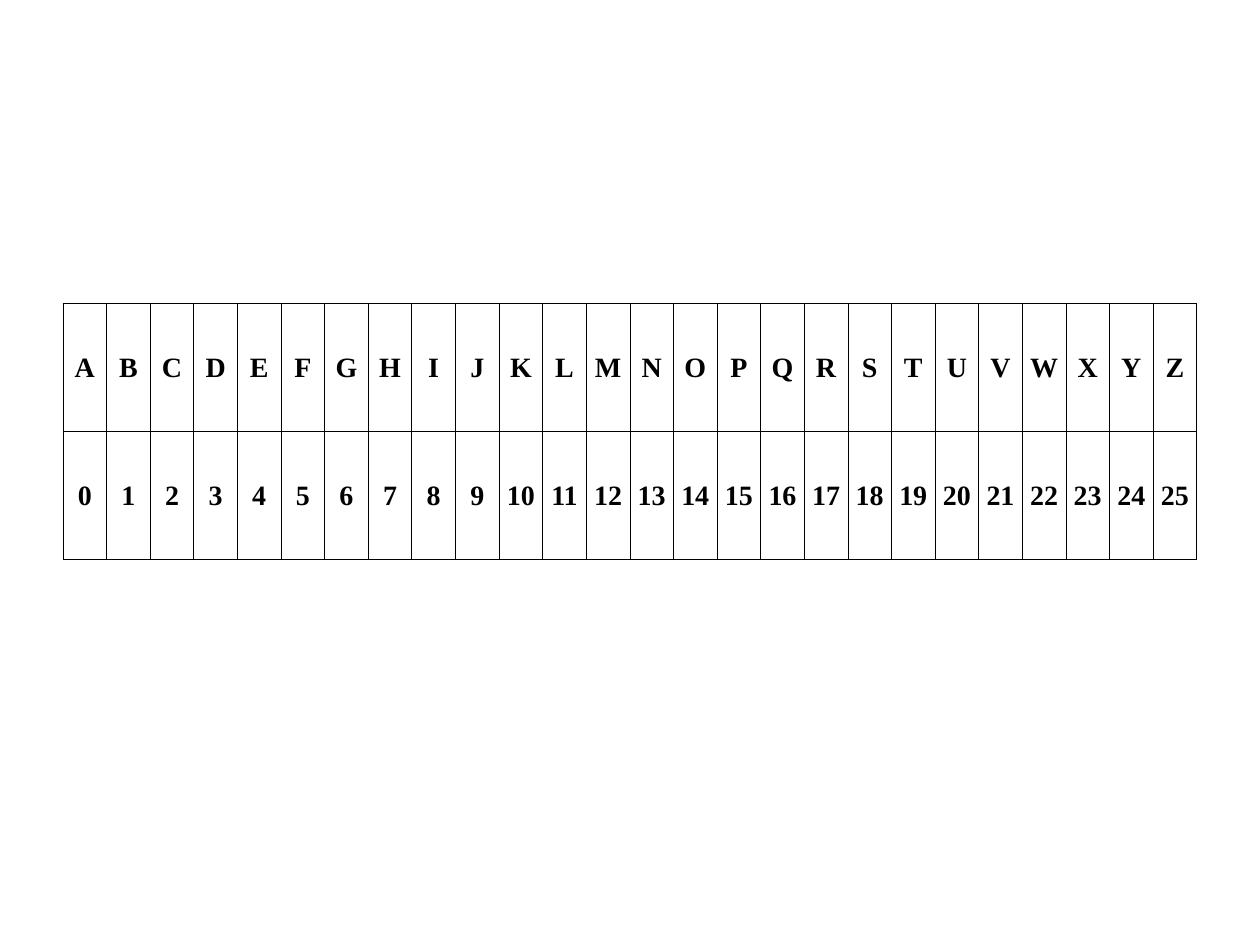
from dataclasses import dataclass

from lxml.etree import SubElement
from pptx import Presentation
from pptx.dml.color import RGBColor
from pptx.enum.text import MSO_VERTICAL_ANCHOR as Anchor, PP_PARAGRAPH_ALIGNMENT as Align
from pptx.oxml.ns import qn
from pptx.table import _Cell as Cell
from pptx.util import Cm, Length, Pt

COLOURS = {"ink": "000000", "paper": "FFFFFF"}
FONT_NAME = "Times New Roman"
BORDER_WIDTH = Pt(0.45)
LETTERS = "ABCDEFGHIJKLMNOPQRSTUVWXYZ"


@dataclass
class TableRow:
    labels: list[str]
    height: Length


def draw_borders(cell: Cell) -> None:
    properties = cell._tc.get_or_add_tcPr()
    for side in ("a:lnL", "a:lnR", "a:lnT", "a:lnB"):
        line = SubElement(properties, qn(side), w=str(BORDER_WIDTH))
        fill = SubElement(line, qn("a:solidFill"))
        SubElement(fill, qn("a:srgbClr"), val=COLOURS["ink"])


def fill_cell(cell: Cell, label: str) -> None:
    draw_borders(cell)
    cell.fill.background()
    cell.margin_left = cell.margin_right = Cm(0)
    cell.margin_top = cell.margin_bottom = Cm(0.13)
    cell.vertical_anchor = Anchor.MIDDLE
    cell.text = label
    para = cell.text_frame.paragraphs[0]
    para.alignment = Align.CENTER
    para.font.name = FONT_NAME
    para.font.size = Pt(16)
    para.font.bold = True
    para.font.color.rgb = RGBColor.from_string(COLOURS["ink"])


def main() -> None:
    deck = Presentation()
    deck.slide_width, deck.slide_height = Cm(25.4), Cm(19.05)
    page = deck.slides.add_slide(deck.slide_layouts[6])
    page.background.fill.solid()
    page.background.fill.fore_color.rgb = RGBColor.from_string(COLOURS["paper"])

    rows = [
        TableRow(list(LETTERS), Cm(2.58)),
        TableRow([str(number) for number in range(len(LETTERS))], Cm(2.58)),
    ]
    height = sum(row.height for row in rows)
    frame = page.shapes.add_table(
        len(rows), len(LETTERS), Cm(1.27), Cm(6.12), Cm(22.86), height
    )
    table = frame.table
    table.first_row = table.horz_banding = False
    for row_index, row in enumerate(rows):
        table.rows[row_index].height = row.height
        for column_index, label in enumerate(row.labels):
            fill_cell(table.cell(row_index, column_index), label)

    deck.save("out.pptx")


if __name__ == "__main__":
    main()
